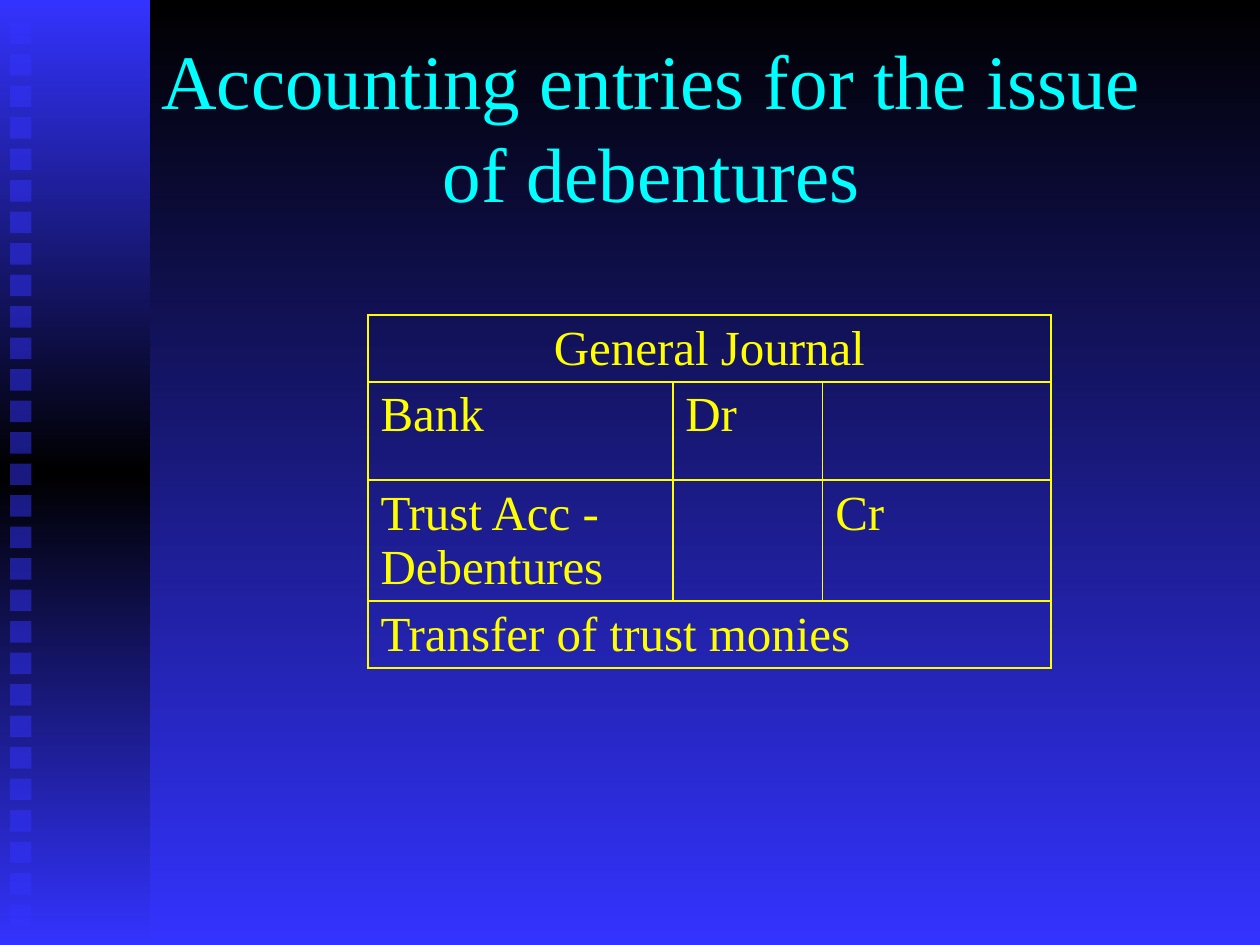
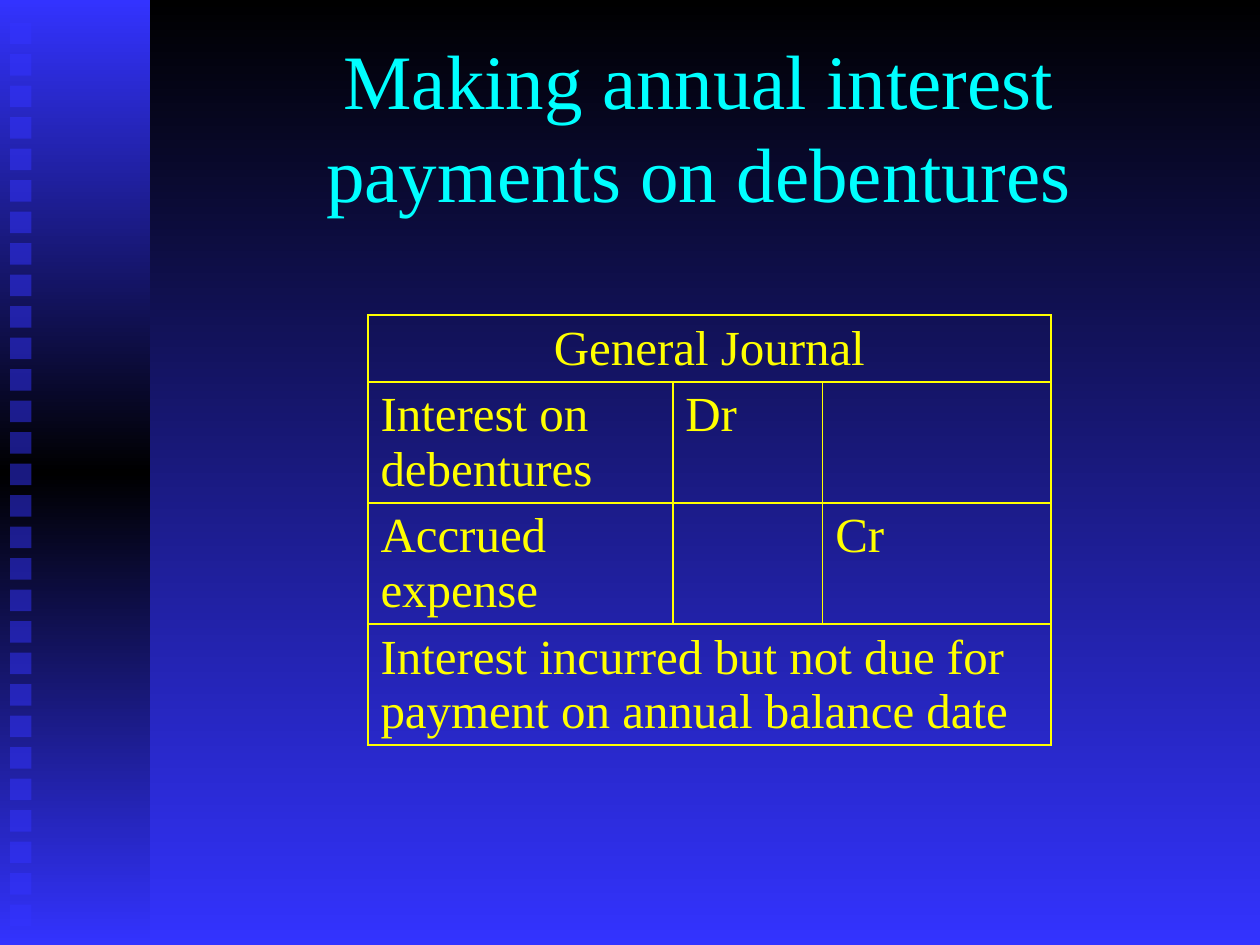
"""Two slides with journal entries for debentures."""
from dataclasses import dataclass

from lxml import etree
from pptx import Presentation
from pptx.dml.color import RGBColor
from pptx.dml.fill import FillFormat
from pptx.enum.shapes import MSO_SHAPE
from pptx.enum.text import MSO_ANCHOR, MSO_AUTO_SIZE, PP_ALIGN
from pptx.oxml.ns import qn
from pptx.slide import Slide
from pptx.table import _Cell
from pptx.text.text import TextFrame
from pptx.util import Inches, Pt

RECT = MSO_SHAPE.RECTANGLE
MIDDLE = MSO_ANCHOR.MIDDLE
FIXED = MSO_AUTO_SIZE.NONE
CENTER, LEFT = PP_ALIGN.CENTER, PP_ALIGN.LEFT
BLACK = RGBColor(0x00, 0x00, 0x00)
BLUE = RGBColor(0x33, 0x33, 0xFF)
CYAN = RGBColor(0x00, 0xFF, 0xFF)
YELLOW = RGBColor(0xFF, 0xFF, 0x00)
FONT = "Times New Roman"
COLS = (2.42, 1.19, 1.81)
ROWS = (0.43, 0.78, 0.76, 0.46)
SQUARES = 29


@dataclass
class Entry:
    """A journal entry and the title above it."""
    title: str
    left: float
    width: float
    debit: str
    credit: str
    note: str


ENTRIES = (
    Entry("Accounting entries for the issue of debentures", 0.92, 8.5,
          "Bank", "Trust Acc - Debentures", "Transfer of trust monies"),
    Entry("Making annual interest payments on debentures", 1.67, 7.75,
          "Interest on debentures", "Accrued expense",
          "Interest incurred but not due for payment on annual balance date"),
)


def add_color(parent: etree._Element, color: RGBColor) -> etree._Element:
    """Add a colour element to its parent."""
    return etree.SubElement(parent, qn("a:srgbClr"), val=str(color))


def fade(fill: FillFormat, root: etree._Element, *colors: RGBColor) -> None:
    """Fill from top to bottom with evenly spaced colours."""
    fill.gradient()
    fill.gradient_angle = 270
    stops = root.xpath(".//a:gsLst")[0]
    for stop in list(stops):
        stops.remove(stop)
    for i, color in enumerate(colors):
        place = str(100000 * i // (len(colors) - 1))
        add_color(etree.SubElement(stops, qn("a:gs"), pos=place), color)


def add_band(slide: Slide) -> None:
    """Draw the side band and its column of squares."""
    band = slide.shapes.add_shape(RECT, 0, 0, Inches(1.19), Inches(7.5))
    band.shadow.inherit = False
    band.line.fill.background()
    fade(band.fill, band._element, BLUE, BLACK, BLUE)
    for i in range(SQUARES):
        square = slide.shapes.add_shape(
            RECT, Inches(0.08), Inches(0.18 + 0.25 * i), Inches(0.17), Inches(0.17))
        square.shadow.inherit = False
        square.line.fill.background()
        square.fill.solid()
        square.fill.fore_color.rgb = BLUE
        color = square._element.xpath("./p:spPr/a:solidFill/a:srgbClr")[0]
        etree.SubElement(color, qn("a:alpha"), val="50000")


def write(frame: TextFrame, text: str, size: int, color: RGBColor,
          align: PP_ALIGN) -> None:
    """Write one run of text into a frame."""
    para = frame.paragraphs[0]
    para.alignment = align
    run = para.add_run()
    run.text = text
    run.font.name = FONT
    run.font.size = Pt(size)
    run.font.color.rgb = color


def add_title(slide: Slide, entry: Entry) -> None:
    """Place the title in front of the band."""
    title = slide.shapes.title
    slide.shapes._spTree.append(title._element)
    title.left, title.top = Inches(entry.left), Inches(0.33)
    title.width, title.height = Inches(entry.width), Inches(1.33)
    frame = title.text_frame
    frame.auto_size = FIXED
    frame.vertical_anchor = MIDDLE
    write(frame, entry.title, 44, CYAN, CENTER)


def style_cell(cell: _Cell) -> None:
    """Give a cell thin yellow borders and no fill."""
    props = cell._tc.get_or_add_tcPr()
    for side in "LRTB":
        line = etree.SubElement(props, qn(f"a:ln{side}"), w=str(Pt(1)))
        add_color(etree.SubElement(line, qn("a:solidFill")), YELLOW)
    cell.fill.background()


def add_table(slide: Slide, entry: Entry) -> None:
    """Draw the journal table of an entry."""
    table = slide.shapes.add_table(
        len(ROWS), len(COLS), Inches(2.92), Inches(2.5),
        Inches(sum(COLS)), Inches(sum(ROWS))).table
    table.first_row = table.horz_banding = False
    for col, width in zip(table.columns, COLS):
        col.width = Inches(width)
    for row, height in zip(table.rows, ROWS):
        row.height = Inches(height)
    for cell in table.iter_cells():
        style_cell(cell)
    for row in (0, 3):
        table.cell(row, 0).merge(table.cell(row, 2))
    texts = {(0, 0): "General Journal", (1, 0): entry.debit, (1, 1): "Dr",
             (2, 0): entry.credit, (2, 2): "Cr", (3, 0): entry.note}
    for (row, col), text in texts.items():
        align = LEFT if row else CENTER
        write(table.cell(row, col).text_frame, text, 28, YELLOW, align)


def main() -> None:
    """Build and save the slides."""
    deck = Presentation()
    deck.slide_width, deck.slide_height = Inches(10), Inches(7.5)
    master = deck.slide_master
    fade(master.background.fill, master._element, BLACK, BLUE)
    for entry in ENTRIES:
        slide = deck.slides.add_slide(deck.slide_layouts[5])
        add_band(slide)
        add_title(slide, entry)
        add_table(slide, entry)
    deck.save("out.pptx")


if __name__ == "__main__":
    main()
